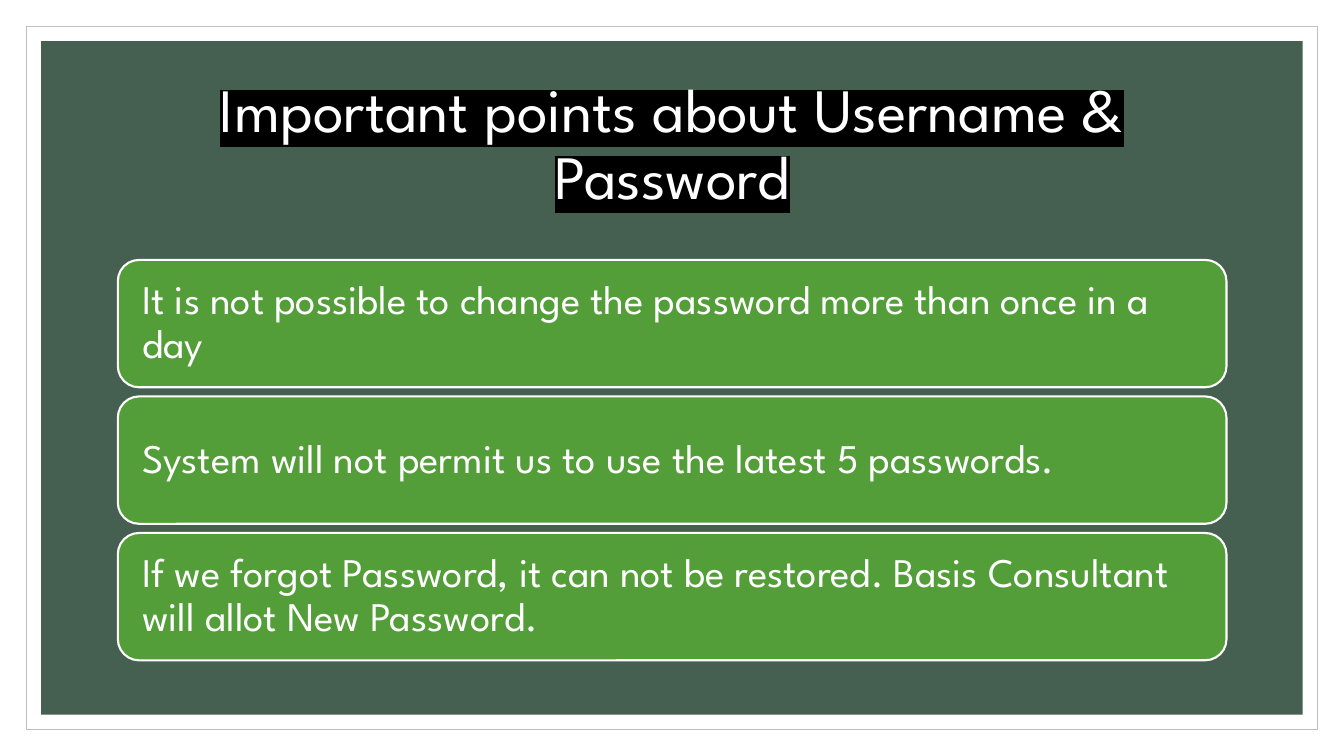
from lxml import etree
from pptx import Presentation
from pptx.dml.color import RGBColor
from pptx.enum.shapes import MSO_SHAPE
from pptx.enum.text import MSO_ANCHOR, MSO_AUTO_SIZE, PP_ALIGN
from pptx.oxml.ns import qn
from pptx.util import Cm, Pt

RECT, ROUNDED = MSO_SHAPE.RECTANGLE, MSO_SHAPE.ROUNDED_RECTANGLE
MIDDLE = MSO_ANCHOR.MIDDLE
NO_AUTOFIT = MSO_AUTO_SIZE.NONE
LEFT, CENTER = PP_ALIGN.LEFT, PP_ALIGN.CENTER

FONT = "League Spartan"
COLORS = {
    "white": "FFFFFF",
    "black": "000000",
    "border": "BFBFBF",
    "panel": "455F51",
    "card": "549E39",
}
SLIDE_W, SLIDE_H = 33.87, 19.05
CONTENT_LEFT, CONTENT_W = 2.97, 27.94
CARD_TOP, CARD_H, CARD_PITCH = 6.55, 3.21, 3.44
POINTS = [
    "It is not possible to change the password more than once in a day",
    "System will not permit us to use the latest 5 passwords.",
    "If we forgot Password, it can not be restored. "
    "Basis Consultant will allot New Password.",
]


def color(name):
    return RGBColor.from_string(COLORS[name])


def add_box(slide, preset, box, fill, line=None, line_width=0):
    """Add a filled shape; box is left, top, width, height in centimetres."""
    shape = slide.shapes.add_shape(preset, *map(Cm, box))
    shape.shadow.inherit = False
    shape.fill.solid()
    shape.fill.fore_color.rgb = color(fill)
    if line:
        shape.line.color.rgb = color(line)
        shape.line.width = Pt(line_width)
    else:
        shape.line.fill.background()
    return shape


def add_frame(slide, margin, fill, line=None, line_width=0):
    """Add a rectangle inset from every slide edge by the same margin."""
    box = (margin, margin, SLIDE_W - 2 * margin, SLIDE_H - 2 * margin)
    add_box(slide, RECT, box, fill, line, line_width)


def write_text(frame, text, size, align):
    frame.text = text
    frame.word_wrap = True
    frame.auto_size = NO_AUTOFIT
    frame.vertical_anchor = MIDDLE
    paragraph = frame.paragraphs[0]
    paragraph.alignment = align
    paragraph.line_spacing = 0.9
    paragraph.font.name = FONT
    paragraph.font.size = Pt(size)
    paragraph.font.color.rgb = color("white")


def highlight(run, name):
    run.font.color.rgb = color("white")
    marker = etree.Element(qn("a:highlight"))
    etree.SubElement(marker, qn("a:srgbClr"), val=COLORS[name])
    run.font._element.find(qn("a:solidFill")).addnext(marker)


def place_title(slide, text):
    title = slide.shapes.title
    title.left, title.top = Cm(CONTENT_LEFT), Cm(1.78)
    title.width, title.height = Cm(CONTENT_W), Cm(3.81)
    write_text(title.text_frame, text, 44, CENTER)
    highlight(title.text_frame.paragraphs[0].runs[0], "black")
    # Bring the title in front of the frames
    slide.shapes._spTree.append(title._element)


def add_card(slide, top, text):
    box = (CONTENT_LEFT, top, CONTENT_W, CARD_H)
    frame = add_box(slide, ROUNDED, box, "card", "white", 1.5).text_frame
    frame.margin_left = frame.margin_right = Cm(0.46)
    frame.margin_top = frame.margin_bottom = Cm(0.46)
    write_text(frame, text, 29, LEFT)


def main():
    deck = Presentation()
    deck.slide_width, deck.slide_height = Cm(SLIDE_W), Cm(SLIDE_H)
    slide = deck.slides.add_slide(deck.slide_layouts.get_by_name("Title Only"))
    add_frame(slide, 0.66, "white", "border", 0.5)
    add_frame(slide, 1.04, "panel")
    place_title(slide, "Important points about Username & Password")
    for index, point in enumerate(POINTS):
        add_card(slide, CARD_TOP + index * CARD_PITCH, point)
    deck.save("out.pptx")


if __name__ == "__main__":
    main()
